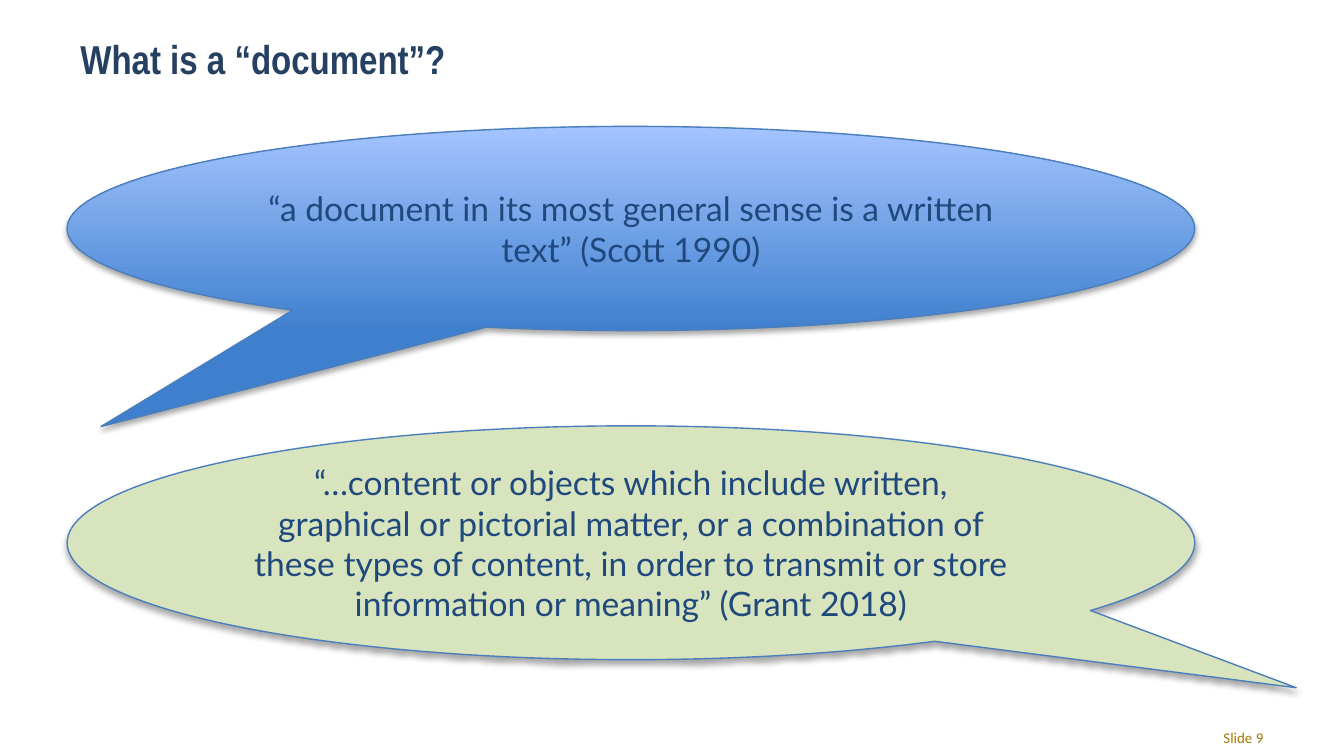
from dataclasses import dataclass

from pptx import Presentation
from pptx.dml.color import RGBColor
from pptx.enum.shapes import MSO_SHAPE
from pptx.enum.text import MSO_ANCHOR, PP_ALIGN
from pptx.util import Cm, Pt

CALLOUT = MSO_SHAPE.OVAL_CALLOUT
MIDDLE = MSO_ANCHOR.MIDDLE
LEFT, CENTER, RIGHT = PP_ALIGN.LEFT, PP_ALIGN.CENTER, PP_ALIGN.RIGHT


@dataclass(frozen=True)
class Theme:
    title_color: str = "254061"
    quote_color: str = "1F497D"
    number_color: str = "A27B00"
    outline: str = "4B7EBC"
    blue_shades: tuple = ("3F80CE", "A4C4FF")
    green: str = "D7E4BD"
    title_size: float = 21.6
    quote_size: float = 18
    number_size: float = 8


theme = Theme()


def write(shape, text, *, font, size, color, align=LEFT, bold=False):
    frame = shape.text_frame
    frame.word_wrap = True
    frame.vertical_anchor = MIDDLE
    para = frame.paragraphs[0]
    para.alignment = align
    span = para.add_run()
    span.text = text
    span.font.name = font
    span.font.size = Pt(size)
    span.font.bold = bold
    span.font.color.rgb = RGBColor.from_string(color)


deck = Presentation()
deck.slide_width, deck.slide_height = Cm(25.4), Cm(14.29)
page = deck.slides.add_slide(deck.slide_layouts[6])

title = page.shapes.add_textbox(Cm(1.27), Cm(0.58), Cm(20.93), Cm(1.04))
write(title, "What is a “document”?", font="Arial Narrow",
      size=theme.title_size, color=theme.title_color, bold=True)

number = page.shapes.add_textbox(Cm(22.28), Cm(13.72), Cm(1.85), Cm(0.46))
write(number, "Slide 9", font="Calibri",
      size=theme.number_size, color=theme.number_color, align=RIGHT)

quotes = [
    (2.39, 3.86, (-0.47, 0.97), theme.blue_shades,
     "“a document in its most general sense is a written text” (Scott 1990)"),
    (8.05, 4.42, (0.59, 0.62), (theme.green,),
     "“…content or objects which include written, graphical or pictorial matter, "
     "or a combination of these types of content, in order to transmit or store "
     "information or meaning” (Grant 2018)"),
]
for top, height, tail, colors, text in quotes:
    bubble = page.shapes.add_shape(CALLOUT, Cm(1.27), Cm(top), Cm(21.31), Cm(height))
    bubble.adjustments[0], bubble.adjustments[1] = tail
    if len(colors) > 1:
        bubble.fill.gradient()
        bubble.fill.gradient_angle = 90
        for position, (stop, color) in enumerate(zip(bubble.fill.gradient_stops, colors)):
            stop.position = position
            stop.color.rgb = RGBColor.from_string(color)
    else:
        bubble.fill.solid()
        bubble.fill.fore_color.rgb = RGBColor.from_string(colors[0])
    bubble.line.color.rgb = RGBColor.from_string(theme.outline)
    bubble.line.width = Pt(0.75)
    write(bubble, text, font="Lato", size=theme.quote_size,
          color=theme.quote_color, align=CENTER)

deck.save("out.pptx")
